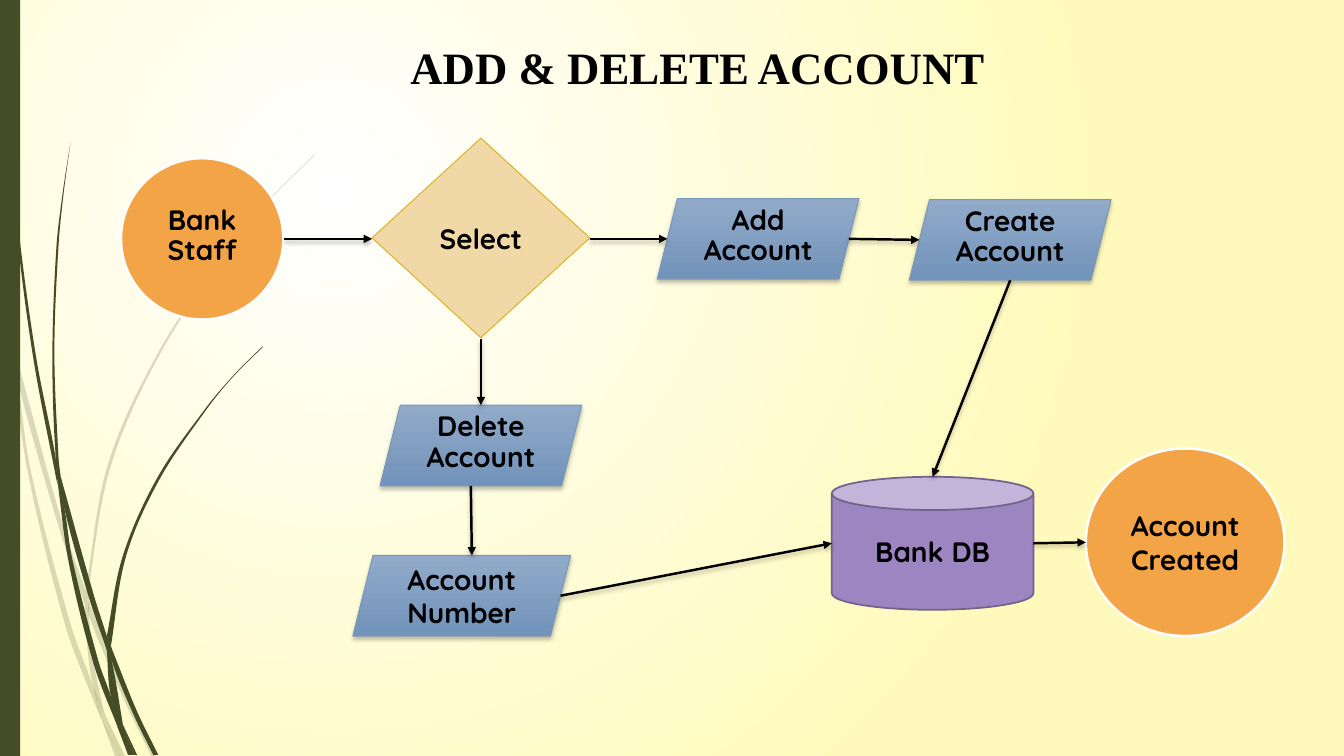
from math import dist
from pptx import Presentation
from pptx.dml.color import RGBColor
from pptx.enum.shapes import MSO_CONNECTOR, MSO_SHAPE
from pptx.enum.text import MSO_ANCHOR, PP_ALIGN
from pptx.oxml import parse_xml
from pptx.oxml.ns import qn
from pptx.util import Inches, Pt
from lxml.etree import SubElement

COLORS = {
    "black": "000000", "white": "FFFFFF", "cream": "FFFABB", "olive": "444D26",
    "orange": "F3A447", "sand": "F1D9A7", "gold": "DDB427", "sky": "91AAC9",
    "steel": "7293BA", "slate": "7A97B9", "purple": "9C85C0", "plum": "73628E",
}
NS = 'xmlns:a="http://schemas.openxmlformats.org/drawingml/2006/main"'

# Each blade of grass: left edge, right edge, in inches from the tip down
PALE = [
    ([(0, 2.82), (.09, 3.22), (.11, 3.5)], [(0, 2.99), (.1, 3.44), (.11, 3.5)]),
    ([(.14, 3.45), (.17, 3.76), (.58, 5.22), (.84, 5.99)],
     [(.14, 3.45), (.62, 5.2), (.85, 5.86)]),
    ([(.88, 5.96), (.88, 6.1), (1.23, 6.94), (1.5, 7.5)],
     [(.88, 5.96), (.92, 6.07), (1.27, 6.92), (1.55, 7.5)]),
    ([(1.05, 7.11), (1.19, 7.5)], [(1.05, 7.11), (1.24, 7.5)]),
    ([(.11, 3.5), (.28, 4.7), (.65, 6.21), (.92, 6.93), (1.01, 7.14)],
     [(.11, 3.5), (.17, 3.76), (.31, 4.69), (.7, 6.19), (.93, 6.83), (1.01, 7.14)]),
    ([(.84, 5.99), (.87, 6.46), (.93, 6.83), (1.05, 7.11)],
     [(.84, 5.99), (.88, 6.1), (.91, 6.46), (1.03, 7.06), (1.05, 7.11)]),
    ([(3.12, 1.53), (2.68, 1.97), (2.28, 2.44), (1.58, 3.48), (1.07, 4.61), (.85, 5.86)],
     [(3.12, 1.54), (2.68, 1.98), (2.29, 2.45), (1.6, 3.49), (1.1, 4.62), (.88, 5.84),
      (.88, 5.96)]),
    ([(1.01, 7.14), (1.14, 7.5)], [(1.01, 7.14), (1.19, 7.5)]),
    ([(.85, 5.86), (.84, 5.99), (.88, 6.08)], [(.85, 5.86), (.88, 5.96), (.88, 6.1)]),
    ([(.93, 6.83), (1.01, 7.14), (1.19, 7.5)], [(.93, 6.83), (1.05, 7.11), (1.19, 7.5)]),
]
DARK = [
    ([(.03, 0), (.04, .48), (.07, 1.1), (.17, 2.33), (.33, 3.55), (.57, 4.81)],
     [(.04, 0), (.05, .48), (.08, 1.09), (.19, 2.32), (.36, 3.55), (.55, 4.53), (.57, 4.81)]),
    ([(.6, 4.72), (.64, 5.05), (.88, 5.92), (1.06, 6.45)],
     [(.6, 4.72), (.93, 5.9), (1.06, 6.31)]),
    ([(1.1, 6.41), (1.11, 6.56), (1.32, 7.08), (1.52, 7.49)],
     [(1.1, 6.41), (1.13, 6.49), (1.36, 7.06), (1.57, 7.49)]),
    ([(.57, 4.77), (.68, 5.57), (.93, 6.59), (1.17, 7.22)],
     [(.57, 4.77), (.64, 5.05), (.72, 5.56), (.98, 6.57), (1.1, 6.91), (1.17, 7.22)]),
    ([(.7, 1.41), (.62, 1.93), (.56, 2.45), (.52, 3.49), (.55, 4.49), (.6, 4.72)],
     [(.7, 1.41), (.63, 1.93), (.58, 2.45), (.54, 3.49), (.58, 4.53), (.6, 4.72)]),
    ([(1.22, 7.19), (1.33, 7.49)], [(1.22, 7.19), (1.36, 7.49)]),
    ([(.55, 4.49), (.57, 4.77), (.64, 5.05)], [(.55, 4.49), (.6, 4.72), (.64, 5.05)]),
    ([(2.6, 3.44), (2.31, 3.73), (2.04, 4.05), (1.56, 4.74), (1.22, 5.51), (1.06, 6.31)],
     [(2.61, 3.44), (2.31, 3.74), (2.05, 4.06), (1.58, 4.76), (1.25, 5.52), (1.1, 6.41)]),
    ([(1.17, 7.22), (1.27, 7.49)], [(1.17, 7.22), (1.31, 7.49)]),
    ([(1.06, 6.45), (1.1, 6.91), (1.22, 7.19)], [(1.06, 6.45), (1.11, 6.56), (1.22, 7.19)]),
    ([(1.06, 6.31), (1.06, 6.45), (1.11, 6.56)], [(1.06, 6.31), (1.1, 6.41), (1.11, 6.56)]),
    ([(1.1, 6.91), (1.17, 7.22), (1.3, 7.49)], [(1.1, 6.91), (1.22, 7.19), (1.33, 7.49)]),
]

# Arrows: from x, y to x, y
ARROWS = [
    (2.82, 2.37, 3.69, 2.37), (5.85, 2.37, 6.62, 2.37), (8.42, 2.37, 9.12, 2.38),
    (10.02, 2.78, 9.25, 4.73), (4.77, 3.36, 4.77, 4.02), (4.67, 4.82, 4.68, 5.51),
    (5.56, 5.91, 8.25, 5.39), (10.25, 5.39, 10.77, 5.38),
]


def rgb(name):
    return RGBColor.from_string(COLORS[name])


def write(frame, text, size=20, font="Quicksand", tight=False, anchor=MSO_ANCHOR.MIDDLE):
    frame.word_wrap = True
    frame.vertical_anchor = anchor
    para = frame.paragraphs[0]
    para.alignment = PP_ALIGN.CENTER
    if tight:
        frame.margin_left = frame.margin_right = frame.margin_top = Inches(0.01)
        frame.margin_bottom = Inches(0.06)
        para.line_spacing = 0.9
    run = para.add_run()
    run.text = text
    run.font.size, run.font.name, run.font.bold = Pt(size), font, True
    run.font.color.rgb = rgb("black")


def shade(props):
    """Give shape properties a soft shadow below."""
    for old in props.findall(qn("a:effectLst")):
        props.remove(old)
    props.append(parse_xml(
        f'<a:effectLst {NS}><a:outerShdw blurRad="38100" dist="25400" dir="5400000" '
        f'rotWithShape="0"><a:srgbClr val="{COLORS["black"]}"><a:alpha val="25000"/>'
        '</a:srgbClr></a:outerShdw></a:effectLst>'))


def node(slide, kind, box, text, fill, line, width, tight=False):
    shape = slide.shapes.add_shape(kind, *map(Inches, box))
    shape.shadow.inherit = False
    if isinstance(fill, tuple):
        shape.fill.gradient()
        shape.fill.gradient_angle = 270
        for stop, name in zip(shape.fill.gradient_stops, fill):
            stop.color.rgb = rgb(name)
    else:
        shape.fill.solid()
        shape.fill.fore_color.rgb = rgb(fill)
    shape.line.color.rgb = rgb(line)
    shape.line.width = Pt(width)
    write(shape.text_frame, text, tight=tight)
    return shape


def step(slide, left, top, text, width=2, tight=True):
    shape = node(slide, MSO_SHAPE.PARALLELOGRAM, (left, top, width, 0.8), text,
                 ("sky", "steel"), "slate", 0.75, tight)
    shade(shape.element.spPr)


def arrow(slide, *ends):
    link = slide.shapes.add_connector(MSO_CONNECTOR.STRAIGHT, *map(Inches, ends))
    link.line.color.rgb = rgb("black")
    link.line.width = Pt(1.75)
    SubElement(link.element.spPr.find(qn("a:ln")), qn("a:tailEnd"), type="triangle")
    shade(link.element.spPr)


def curve(points):
    """List two handles and an end for each span of a smooth line."""
    ends, out = [points[0], *points, points[-1]], []
    for a, b, c, d in zip(ends, ends[1:], ends[2:], ends[3:]):
        near, far = dist(b, c) / 3 / dist(a, c), dist(b, c) / 3 / dist(b, d)
        out += [tuple(q + (r - p) * near for p, q, r in zip(a, b, c)),
                tuple(r - (s - q) * far for q, r, s in zip(b, c, d)), c]
    return out


def blade(slide, left, right, alpha=None):
    dots = curve(left) + [left[-1], right[-1], right[-1]] + curve(right[::-1])
    form = slide.shapes.build_freeform(*(n * 1000 for n in left[0]), scale=Inches(1) / 1000)
    form.add_line_segments([(x * 1000, y * 1000) for x, y in dots])
    shape = form.convert_to_shape()
    # Turn every three straight steps into one curve
    lines = list(shape.element.iter(qn("a:lnTo")))
    for i in range(0, len(lines), 3):
        lines[i].tag = qn("a:cubicBezTo")
        for other in lines[i + 1:i + 3]:
            lines[i].append(other[0])
            other.getparent().remove(other)
    paint(shape, alpha)


def paint(shape, alpha=None):
    shape.shadow.inherit = False
    shape.fill.solid()
    shape.fill.fore_color.rgb = rgb("olive")
    shape.line.fill.background()
    if alpha:
        tint = shape.element.spPr.find(".//" + qn("a:srgbClr"))
        SubElement(tint, qn("a:alpha"), val=str(alpha * 1000))


def backdrop(slide):
    slide.background.fill.solid()
    props = slide.element.find(".//" + qn("p:bgPr"))
    stops = "".join(f'<a:gs pos="{at}"><a:srgbClr val="{COLORS[name]}"/></a:gs>'
                    for at, name in ((0, "white"), (100000, "cream")))
    props.replace(props[0], parse_xml(
        f'<a:gradFill {NS} rotWithShape="1"><a:gsLst>{stops}</a:gsLst><a:path path="circle">'
        '<a:fillToRect l="50000" t="50000" r="100000" b="100000"/></a:path></a:gradFill>'))


def main():
    deck = Presentation()
    deck.slide_width, deck.slide_height = Inches(13.33), Inches(7.5)
    slide = deck.slides.add_slide(deck.slide_layouts[5])
    # Background, grass and side bar
    backdrop(slide)
    for edges in PALE:
        blade(slide, *edges, alpha=20)
    for edges in DARK:
        blade(slide, *edges)
    paint(slide.shapes.add_shape(MSO_SHAPE.RECTANGLE, 0, 0, Inches(0.2), Inches(7.5)))
    # Title
    title = slide.shapes.title
    title.left, title.top, title.width, title.height = map(Inches, (1.56, 0.34, 10.72, 0.93))
    write(title.text_frame, "ADD & DELETE ACCOUNT", size=32, font="Times New Roman",
          anchor=MSO_ANCHOR.TOP)
    # Flow steps
    node(slide, MSO_SHAPE.OVAL, (1.2, 1.57, 1.61, 1.6), "Bank Staff", "orange", "white", 1.75, True)
    node(slide, MSO_SHAPE.DIAMOND, (3.69, 1.37, 2.16, 1.98), "Select", "sand", "gold", 0.75)
    step(slide, 6.52, 1.97, "Add Account")
    step(slide, 9.02, 1.98, "Create Account")
    step(slide, 3.77, 4.02, "Delete Account")
    step(slide, 3.5, 5.51, "Account Number", width=2.16, tight=False)
    node(slide, MSO_SHAPE.CAN, (8.25, 4.73, 2, 1.32), "Bank DB", "purple", "plum", 1.25)
    node(slide, MSO_SHAPE.OVAL, (10.77, 4.45, 1.97, 1.86), "Account Created", "orange", "white", 1.75)
    # Arrows between steps
    for ends in ARROWS:
        arrow(slide, *ends)
    deck.save("out.pptx")


if __name__ == "__main__":
    main()
